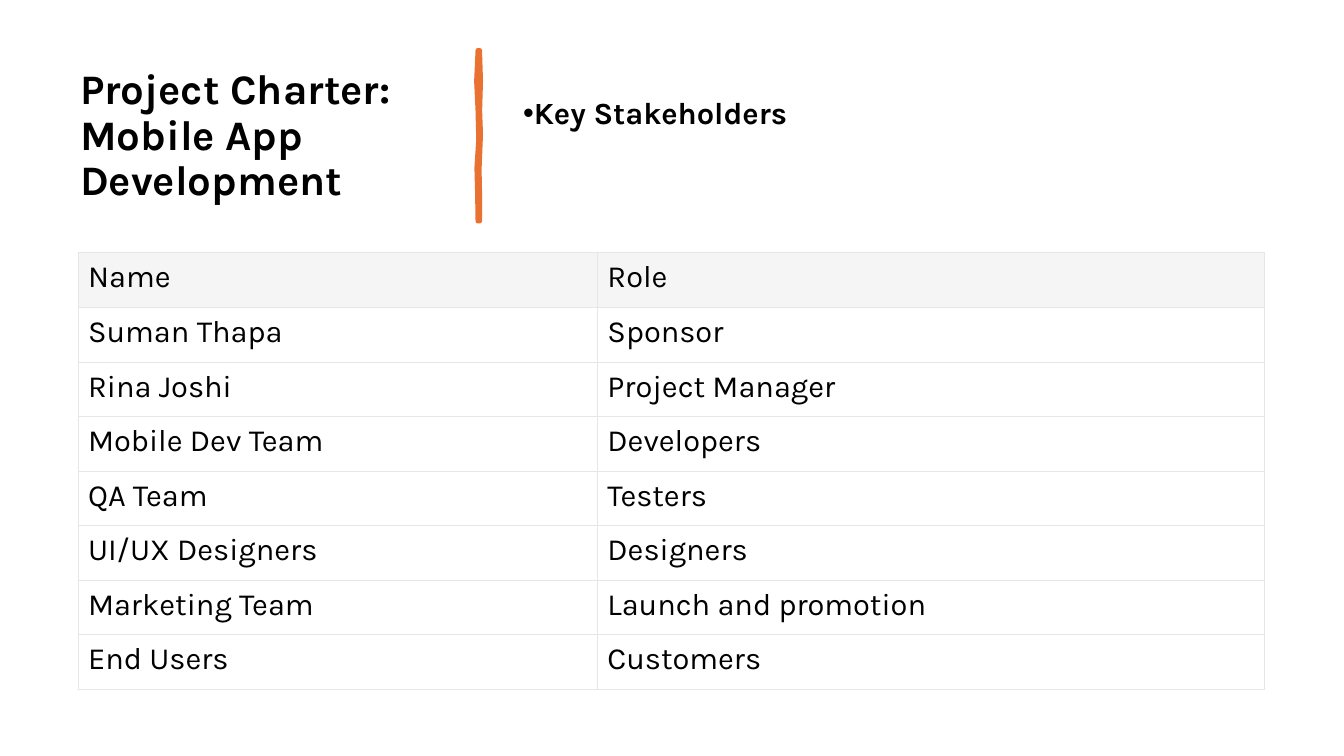
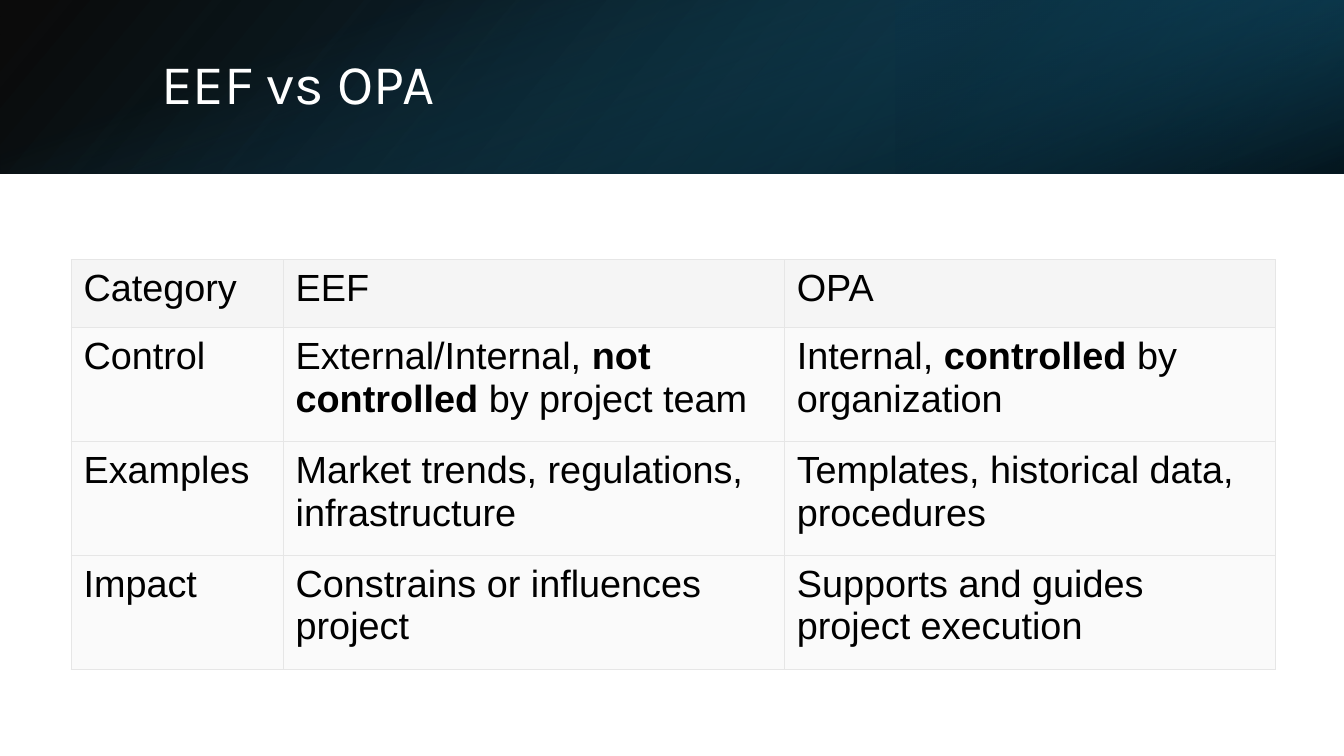
from lxml import etree
from pptx import Presentation
from pptx.dml.color import RGBColor
from pptx.enum.shapes import MSO_SHAPE
from pptx.enum.text import MSO_ANCHOR, MSO_AUTO_SIZE, PP_ALIGN
from pptx.oxml.ns import qn
from pptx.util import Pt

RECTANGLE = MSO_SHAPE.RECTANGLE
MIDDLE = MSO_ANCHOR.MIDDLE
LEFT = PP_ALIGN.LEFT
NO_FIT = MSO_AUTO_SIZE.NONE

PAGE_WIDTH, PAGE_HEIGHT = 960, 540
BAND_HEIGHT = 124
TITLE_AND_BODY, TITLE_ONLY = 1, 5

BLACK, WHITE = "000000", "FFFFFF"
ORANGE = "E97132"
GRID_GREY, HEADER_GREY, ROW_GREY = "E6E6E6", "F5F5F5", "FAFAFA"
DEEP_TEAL, NAVY, TEAL = "104862", "0B3041", "156082"

STAKEHOLDERS = [
    ("Name", "Role"),
    ("Suman Thapa", "Sponsor"),
    ("Rina Joshi", "Project Manager"),
    ("Mobile Dev Team", "Developers"),
    ("QA Team", "Testers"),
    ("UI/UX Designers", "Designers"),
    ("Marketing Team", "Launch and promotion"),
    ("End Users", "Customers"),
]
COMPARISON = [
    ("Category", "EEF", "OPA"),
    ("Control", "External/Internal, **not controlled** by project team",
     "Internal, **controlled** by organization"),
    ("Examples", "Market trends, regulations, infrastructure",
     "Templates, historical data, procedures"),
    ("Impact", "Constrains or influences project",
     "Supports and guides project execution"),
]

STAKEHOLDER_STYLE = {
    "font": {"name": "Karla", "size": 22},
    "margins": {"left": 7.2, "top": 5, "right": 5, "bottom": 4.3},
    "row_fill": None,
}
COMPARISON_STYLE = {
    "font": {"name": "Arial", "size": 27},
    "margins": {"left": 9, "top": 5.8, "right": 5.8, "bottom": 5},
    "row_fill": ROW_GREY,
}

# Left, top, width, height; stops are (position, colour, opacity), all in percent
BAND_LAYERS = [
    {"at": (0, 0, PAGE_WIDTH, BAND_HEIGHT), "flip": True, "angle": 140,
     "stops": [(0, BLACK, 96), (100, DEEP_TEAL, 100)]},
    {"at": (640, 0, 320, BAND_HEIGHT), "flip": True, "rotation": 180, "angle": 320,
     "stops": [(19, NAVY, 68), (100, TEAL, 79)]},
    {"at": (418, -418, BAND_HEIGHT, PAGE_WIDTH), "rotation": 90, "angle": 340,
     "stops": [(23, TEAL, 0), (99, BLACK, 74)]},
]

# Brush-like stroke, clockwise from the top right
DIVIDER_OUTLINE = [
    (342.7, 36), (343.4, 58), (342.8, 79), (343.4, 96), (342.4, 121), (342.8, 140),
    (342.7, 158), (341.3, 158), (341, 138), (340.5, 120), (341.8, 100), (341.3, 79),
    (340.3, 58), (341.3, 36),
]


def rgb(colour):
    return RGBColor.from_string(colour)


def place(shape, left, top, width, height):
    position = {"left": left, "top": top, "width": width, "height": height}
    for name, value in position.items():
        setattr(shape, name, Pt(value))


def format_font(font, name="Karla", size=22, colour=BLACK, bold=False):
    for key, value in {"name": name, "size": Pt(size), "bold": bold}.items():
        setattr(font, key, value)
    font.color.rgb = rgb(colour)


def fill_placeholder(box, text, at, **font):
    """Move a placeholder, write one left-aligned paragraph and return it."""
    place(box, *at)
    frame = box.text_frame
    frame.text = text
    settings = {"vertical_anchor": MIDDLE, "word_wrap": True, "auto_size": NO_FIT}
    for name, value in settings.items():
        setattr(frame, name, value)
    para = frame.paragraphs[0]
    para.alignment, para.line_spacing, para.space_before = LEFT, 0.9, Pt(0)
    format_font(para.runs[0].font, **font)
    return para


def add_bullet(para):
    """Give the paragraph a bullet set tight against its text."""
    properties = para._p.get_or_add_pPr()
    properties.set("marL", "0")
    properties.set("indent", str(-Pt(18)))
    etree.SubElement(properties, qn("a:buFont"), typeface="Arial")
    etree.SubElement(properties, qn("a:buChar"), char="•")


def add_divider(page):
    points = [(Pt(x), Pt(y)) for x, y in DIVIDER_OUTLINE]
    builder = page.shapes.build_freeform(*points[0], scale=1.0)
    builder.add_line_segments(points[1:], close=True)
    divider = builder.convert_to_shape()
    divider.shadow.inherit = False
    divider.fill.solid()
    divider.fill.fore_color.rgb = rgb(ORANGE)
    divider.line.color.rgb = rgb(ORANGE)
    divider.line.width = Pt(3.25)


def add_gradient_layer(page, at, angle, stops, rotation=0, flip=False):
    layer = page.shapes.add_shape(RECTANGLE, *map(Pt, at))
    layer.shadow.inherit = False
    layer.line.fill.background()
    layer.rotation = rotation
    if flip:
        layer._element.spPr.find(qn("a:xfrm")).set("flipH", "1")
    layer.fill.gradient()
    layer.fill.gradient_angle = 360 - angle
    for stop, (position, colour, opacity) in zip(layer.fill.gradient_stops, stops):
        stop.position = position / 100
        stop.color.rgb = rgb(colour)
        colour_element = stop._gs.find(qn("a:srgbClr"))
        etree.SubElement(colour_element, qn("a:alpha"), val=str(opacity * 1000))


def add_band(page):
    """Draw the header band, then lift the title above it."""
    for layer in BAND_LAYERS:
        add_gradient_layer(page, **layer)
    page.shapes._spTree.append(page.shapes.title._element)


def add_borders(cell):
    properties = cell._tc.get_or_add_tcPr()
    for side in ("a:lnL", "a:lnR", "a:lnT", "a:lnB"):
        border = etree.SubElement(properties, qn(side), w=str(Pt(0.5)))
        solid = etree.SubElement(border, qn("a:solidFill"))
        etree.SubElement(solid, qn("a:srgbClr"), val=GRID_GREY)


def fill_cell(cell, text, fill, font, margins):
    """Format a cell; text between double asterisks is bold."""
    for side, value in margins.items():
        setattr(cell, f"margin_{side}", Pt(value))
    add_borders(cell)
    if fill:
        cell.fill.solid()
        cell.fill.fore_color.rgb = rgb(fill)
    else:
        cell.fill.background()
    para = cell.text_frame.paragraphs[0]
    for index, part in enumerate(text.split("**")):
        span = para.add_run()
        span.text = part
        format_font(span.font, bold=index % 2 == 1, **font)


def add_grid(page, rows, left, top, widths, heights, font, margins, row_fill):
    frame = page.shapes.add_table(len(rows), len(widths), Pt(left), Pt(top),
                                  Pt(sum(widths)), Pt(sum(heights)))
    table = frame.table
    table.first_row = table.horz_banding = False
    for column, width in zip(table.columns, widths):
        column.width = Pt(width)
    for row_index, (row, texts) in enumerate(zip(table.rows, rows)):
        row.height = Pt(heights[row_index])
        fill = row_fill if row_index else HEADER_GREY
        for cell, text in zip(row.cells, texts):
            fill_cell(cell, text, fill, font, margins)


def add_charter_page(deck):
    page = deck.slides.add_slide(deck.slide_layouts[TITLE_AND_BODY])
    fill_placeholder(page.shapes.title, "Project Charter: Mobile App Development",
                     (50, 40, 269, 115), size=30, bold=True)
    heading = fill_placeholder(page.placeholders[1], "Key Stakeholders",
                               (366.5, 40, 543, 84), bold=True)
    add_bullet(heading)
    add_divider(page)
    add_grid(page, STAKEHOLDERS, 55.7, 180.5, [371, 476.5],
             [39] * len(STAKEHOLDERS), **STAKEHOLDER_STYLE)


def add_comparison_page(deck):
    page = deck.slides.add_slide(deck.slide_layouts[TITLE_ONLY])
    fill_placeholder(page.shapes.title, "EEF vs OPA", (108, 27, 790, 69),
                     size=40, colour=WHITE)
    add_band(page)
    body_heights = [81.3] * (len(COMPARISON) - 1)
    add_grid(page, COMPARISON, 50.7, 185.3, [151.5, 358, 350.7],
             [48.7] + body_heights, **COMPARISON_STYLE)


def main():
    deck = Presentation()
    deck.slide_width, deck.slide_height = Pt(PAGE_WIDTH), Pt(PAGE_HEIGHT)
    add_charter_page(deck)
    add_comparison_page(deck)
    deck.save("out.pptx")


if __name__ == "__main__":
    main()
